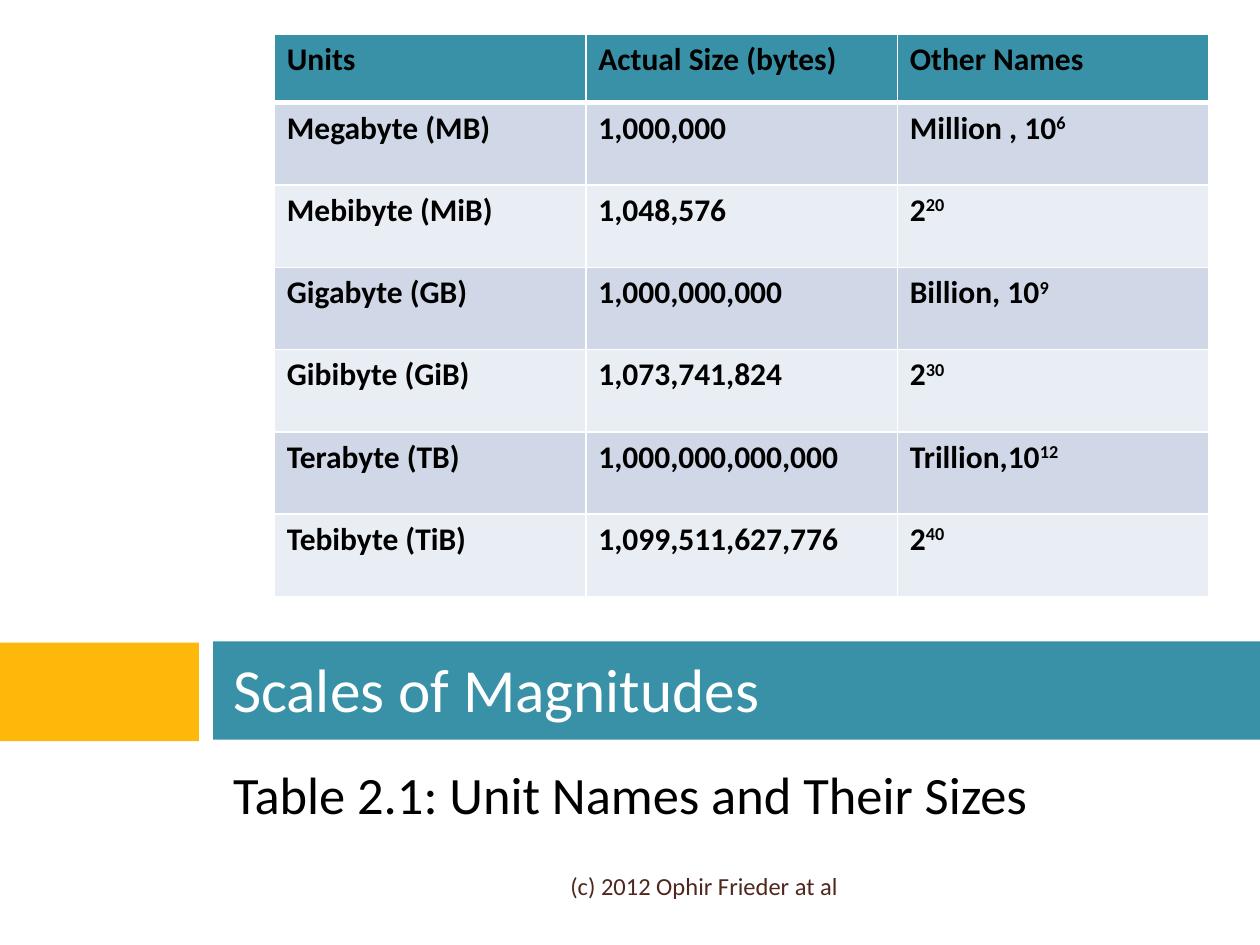
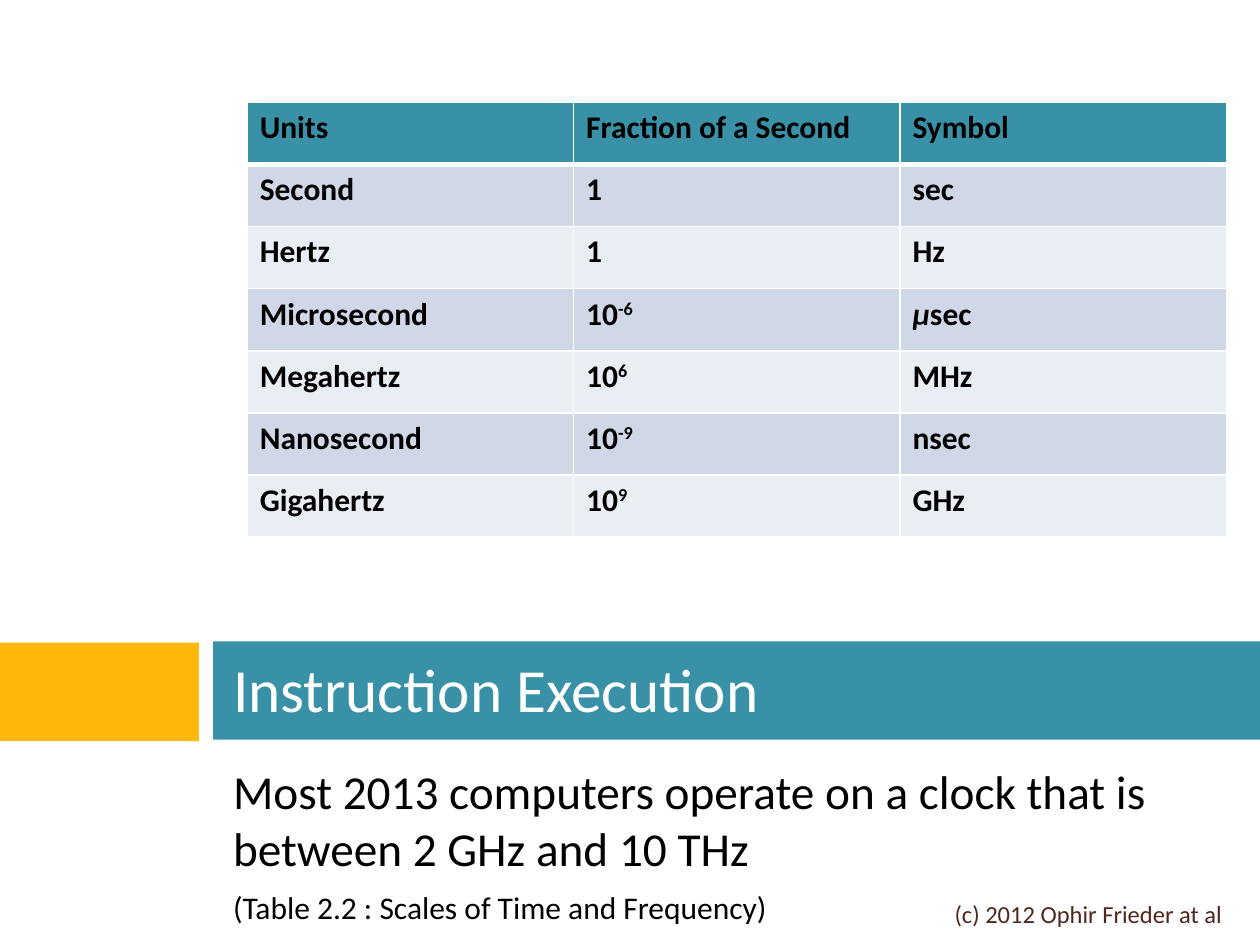
from lxml.etree import SubElement
from pptx import Presentation
from pptx.dml.color import RGBColor
from pptx.enum.shapes import MSO_SHAPE
from pptx.enum.text import MSO_ANCHOR, MSO_AUTO_SIZE, PP_ALIGN
from pptx.oxml.ns import qn
from pptx.util import Pt

FONT = "Calibri"
TEAL, GOLD, WHITE, BLACK, BROWN = "3891A7", "FEB80A", "FFFFFF", "000000", "4F271C"
ROW_FILLS = ("D0D8E8", "E9EDF4")
TEXT_LEFT, TEXT_WIDTH = 126, 576


def color(value):
    return RGBColor.from_string(value)


def set_border(cell, side, width):
    line = SubElement(cell._tc.get_or_add_tcPr(), qn(f"a:{side}"), w=str(Pt(width)))
    fill = SubElement(line, qn("a:solidFill"))
    SubElement(fill, qn("a:srgbClr"), val=WHITE)


class Deck:
    def __init__(self):
        self.presentation = Presentation()
        self.presentation.slide_width = Pt(720)
        self.presentation.slide_height = Pt(540)
        self.slide = None

    def add_slide(self, title):
        self.slide = self.presentation.slides.add_slide(self.presentation.slide_layouts[1])
        self.band(-0.5, 367.25, 114.25, GOLD)
        self.band(121.75, 366.5, 598.25, TEAL)
        self.fill_text(self.slide.shapes.title, (TEXT_LEFT, 366, TEXT_WIDTH, 54),
                       [(title, 35)], WHITE, MSO_ANCHOR.MIDDLE)

    def band(self, left, top, width, fill):
        shape = self.slide.shapes.add_shape(
            MSO_SHAPE.RECTANGLE, Pt(left), Pt(top), Pt(width), Pt(56.25))
        shape.shadow.inherit = False
        shape.fill.solid()
        shape.fill.fore_color.rgb = color(fill)
        shape.line.fill.background()
        self.slide.shapes.element.insert(2, shape.element)

    def style(self, paragraph, size, text_color, bold=False):
        font = paragraph.font
        font.name, font.size, font.bold = FONT, Pt(size), bold
        font.color.rgb = color(text_color)

    def fill_text(self, shape, box, lines, text_color, anchor,
                  align=PP_ALIGN.LEFT, space_before=0):
        shape.left, shape.top, shape.width, shape.height = map(Pt, box)
        frame = shape.text_frame
        frame.word_wrap = True
        frame.auto_size = MSO_AUTO_SIZE.NONE
        frame.vertical_anchor = anchor
        frame.text = "\n".join(text for text, _ in lines)
        for paragraph, (_, size) in zip(frame.paragraphs, lines):
            paragraph.alignment = align
            paragraph.space_before = Pt(space_before)
            self.style(paragraph, size, text_color)

    def body(self, height, lines):
        shape = self.slide.placeholders[1]
        self.fill_text(shape, (TEXT_LEFT, 432, TEXT_WIDTH, height), lines,
                       BLACK, MSO_ANCHOR.TOP, space_before=7)
        for paragraph in shape.text_frame.paragraphs:
            properties = paragraph._p.get_or_add_pPr()
            properties.set("marL", "0")
            properties.set("indent", "0")
            properties.find(qn("a:spcBef")).addnext(
                SubElement(properties, qn("a:buNone")))

    def footer(self, left, top):
        shape = self.slide.shapes.add_textbox(0, 0, 0, 0)
        self.fill_text(shape, (left, top, 360, 28.8), [("(c) 2012 Ophir Frieder at al", 14)],
                       BROWN, MSO_ANCHOR.MIDDLE, PP_ALIGN.RIGHT)

    def rich_text(self, paragraph, text):
        for index, part in enumerate(text.split("*")):
            base, _, exponent = part.partition("^")
            if base:
                run = paragraph.add_run()
                run.text = base
                if index % 2:
                    run.font.italic = True
            if exponent:
                run = paragraph.add_run()
                run.text = exponent
                run._r.get_or_add_rPr().set("baseline", "30000")

    def table(self, left, top, column_width, header_height, row_height, rows):
        heights = [header_height] + [row_height] * (len(rows) - 1)
        columns = len(rows[0])
        table = self.slide.shapes.add_table(
            len(rows), columns, Pt(left), Pt(top),
            Pt(column_width * columns), Pt(sum(heights))).table
        for column in table.columns:
            column.width = Pt(column_width)
        for index, (values, height) in enumerate(zip(rows, heights)):
            table.rows[index].height = Pt(height)
            for cell, text in zip(table.rows[index].cells, values):
                for side in ("lnL", "lnR", "lnT", "lnB"):
                    set_border(cell, side, 3 if (index, side) in ((0, "lnB"), (1, "lnT")) else 1)
                cell.fill.solid()
                cell.fill.fore_color.rgb = color(ROW_FILLS[(index - 1) % 2] if index else TEAL)
                paragraph = cell.text_frame.paragraphs[0]
                self.rich_text(paragraph, text)
                self.style(paragraph, 18, BLACK, bold=True)


def main():
    deck = Deck()

    deck.add_slide("Scales of Magnitudes")
    deck.body(54, [("Table 2.1: Unit Names and Their Sizes", 30)])
    deck.table(156.75, 19.75, 178, 39, 47, [
        ("Units", "Actual Size (bytes)", "Other Names"),
        ("Megabyte (MB)", "1,000,000", "Million , 10^6"),
        ("Mebibyte (MiB)", "1,048,576", "2^20"),
        ("Gigabyte (GB)", "1,000,000,000", "Billion, 10^9"),
        ("Gibibyte (GiB)", "1,073,741,824", "2^30"),
        ("Terabyte (TB)", "1,000,000,000,000", "Trillion,10^12"),
        ("Tebibyte (TiB)", "1,099,511,627,776", "2^40"),
    ])
    deck.footer(TEXT_LEFT, 492)

    deck.add_slide("Instruction Execution")
    deck.body(108, [
        ("Most 2013 computers operate on a clock that is between 2 GHz and 10 THz", 27),
        ("(Table 2.2 : Scales of Time and Frequency)", 18),
    ])
    deck.table(141.25, 58.5, 186.5, 35.5, 35.5, [
        ("Units", "Fraction of a Second", "Symbol"),
        ("Second", "1", "sec"),
        ("Hertz", "1", "Hz"),
        ("Microsecond", "10^-6", "*μ*sec"),
        ("Megahertz", "10^6", "MHz"),
        ("Nanosecond", "10^-9", "nsec"),
        ("Gigahertz", "10^9", "GHz"),
    ])
    deck.footer(345.6, 507.6)

    deck.presentation.save("out.pptx")


if __name__ == "__main__":
    main()
